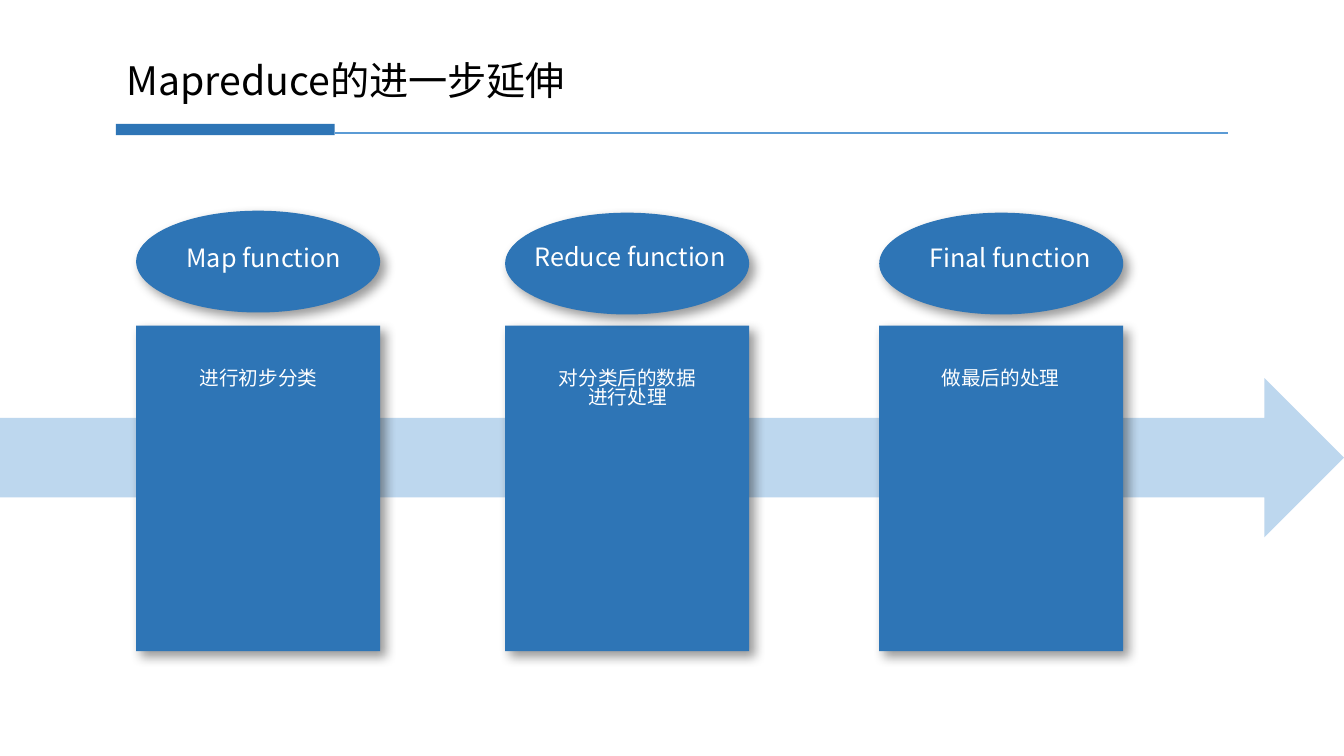
from lxml import etree
from pptx import Presentation
from pptx.dml.color import RGBColor
from pptx.enum import shapes, text
from pptx.oxml import ns
from pptx.util import Inches, Pt

TITLE = "Mapreduce的进一步延伸"
STAGES = [
    {"name": "Map function", "task": "进行初步分类",
     "left": 1.35, "oval_top": 2.09, "name_at": (1.6, 2.41, 2.03, 0.4), "task_left": 1.7},
    {"name": "Reduce function", "task": "对分类后的数据进行处理",
     "left": 5.01, "oval_top": 2.11, "name_at": (4.99, 2.4, 2.52, 0.4), "task_left": 5.36},
    {"name": "Final function", "task": "做最后的处理",
     "left": 8.72, "oval_top": 2.11, "name_at": (8.98, 2.41, 2.08, 0.4), "task_left": 9.06},
]
FONT = "Noto Sans CJK SC"
LINE_SPACING = 0.81
WIDTH, HEIGHT = 13.33, 7.5
CARD_TOP, CARD_SIDE, CARD_HEIGHT, OVAL_HEIGHT = 3.23, 2.42, 3.23, 1.01
TASK_TOP, TASK_WIDTH, TASK_HEIGHT = 3.62, 1.73, 0.34

BLUE = RGBColor(0x2E, 0x75, 0xB6)
PALE_BLUE = RGBColor(0xBD, 0xD7, 0xEE)
LINE_BLUE = RGBColor(0x5B, 0x9B, 0xD5)
WHITE = RGBColor(0xFF, 0xFF, 0xFF)
BLACK = RGBColor(0, 0, 0)


def add_block(s, kind, at, color, shadow=False):
    sp = s.shapes.add_shape(kind, *map(Inches, at))
    sp.fill.solid()
    sp.fill.fore_color.rgb = color
    sp.line.fill.background()
    sp.shadow.inherit = False
    if shadow:
        effects = sp.element.spPr.find(ns.qn("a:effectLst"))
        outer = etree.SubElement(effects, ns.qn("a:outerShdw"), blurRad=str(Pt(8)),
                                 dist=str(Pt(5)), dir=str(45 * 60000),
                                 algn="tl", rotWithShape="0")
        black = etree.SubElement(outer, ns.qn("a:srgbClr"), val="000000")
        etree.SubElement(black, ns.qn("a:alpha"), val="40000")


def add_label(s, words, at, size, color, align):
    tf = s.shapes.add_textbox(*map(Inches, at)).text_frame
    tf.word_wrap = True
    tf.auto_size = text.MSO_AUTO_SIZE.SHAPE_TO_FIT_TEXT
    p = tf.paragraphs[0]
    p.alignment = align
    p.line_spacing = LINE_SPACING
    r = p.add_run()
    r.text = words
    r.font.size = Pt(size)
    r.font.name = FONT
    r.font.color.rgb = color
    etree.SubElement(r.font._element, ns.qn("a:ea"), typeface=FONT)


def add_stage(s, stage):
    center = text.PP_ALIGN.CENTER
    kind = shapes.MSO_SHAPE
    left = stage["left"]
    add_block(s, kind.RECTANGLE, (left, CARD_TOP, CARD_SIDE, CARD_HEIGHT), BLUE, True)
    add_block(s, kind.OVAL, (left, stage["oval_top"], CARD_SIDE, OVAL_HEIGHT), BLUE, True)
    add_label(s, stage["name"], stage["name_at"], 18, WHITE, center)
    add_label(s, stage["task"], (stage["task_left"], TASK_TOP, TASK_WIDTH, TASK_HEIGHT),
              14, WHITE, center)


def main():
    prs = Presentation()
    prs.slide_width, prs.slide_height = Inches(WIDTH), Inches(HEIGHT)
    s = prs.slides.add_slide(prs.slide_layouts[6])
    s.background.fill.solid()
    s.background.fill.fore_color.rgb = WHITE

    add_block(s, shapes.MSO_SHAPE.RIGHT_ARROW, (0, HEIGHT / 2, WIDTH, 1.58), PALE_BLUE)
    add_block(s, shapes.MSO_SHAPE.RECTANGLE, (1.15, 1.23, 2.17, 0.11), BLUE)
    rule = s.shapes.add_connector(shapes.MSO_CONNECTOR.STRAIGHT,
                                  *map(Inches, (3.32, 1.32, 12.18, 1.32)))
    rule.line.color.rgb = LINE_BLUE
    rule.line.width = Pt(1.75)
    etree.SubElement(rule.element.spPr, ns.qn("a:effectLst"))
    add_label(s, TITLE, (1.16, 0.6, 5.05, 0.57), 28, BLACK, text.PP_ALIGN.LEFT)

    for stage in STAGES:
        add_stage(s, stage)
    prs.save("out.pptx")


if __name__ == "__main__":
    main()
